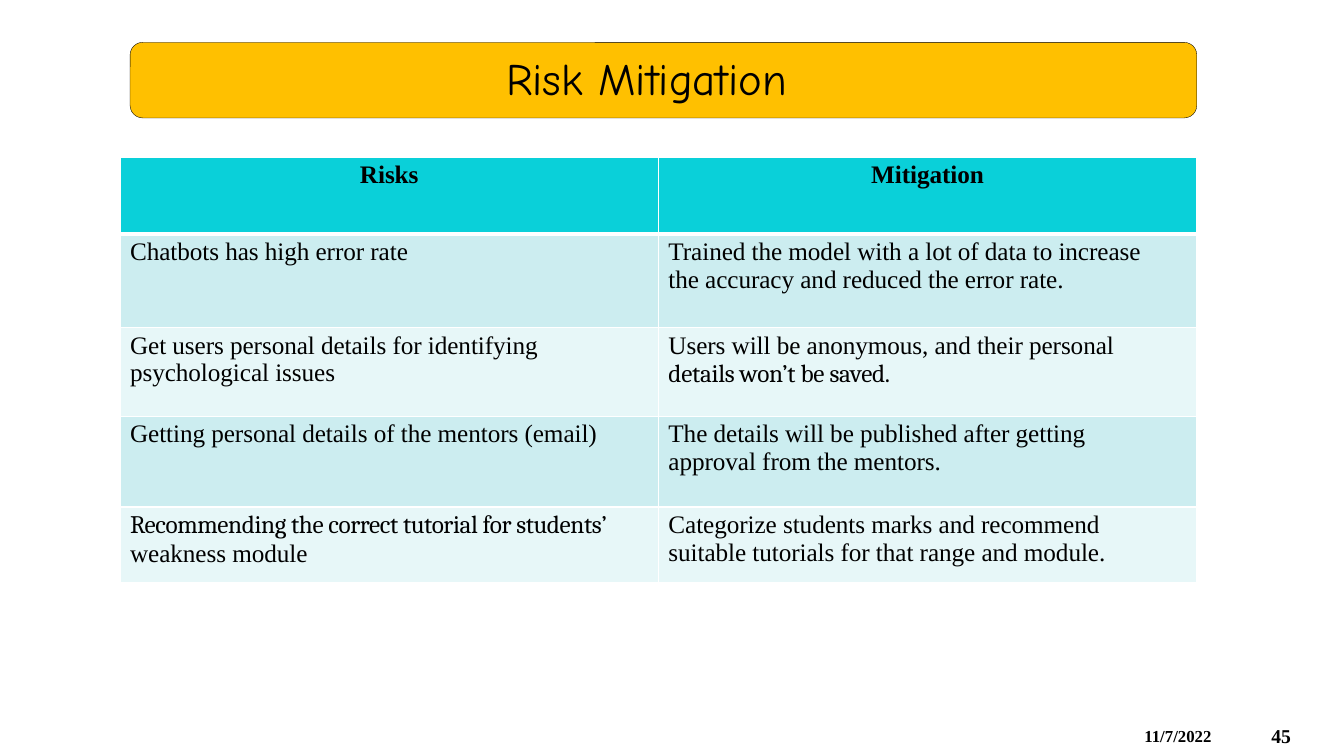
from lxml import etree
from pptx import Presentation
from pptx.dml.color import RGBColor
from pptx.enum.shapes import MSO_SHAPE
from pptx.enum.text import PP_ALIGN
from pptx.oxml.ns import qn
from pptx.util import Inches, Pt

COLORS = {
    "text": "000000",
    "banner": "FFC000",
    "header": "0AD0D9",
    "band_dark": "CCEDF0",
    "band_light": "E7F7F8",
    "border": "FFFFFF",
    "footer": "FFFFFF",
}
SERIF = "Times New Roman"


def add_line(paragraph, text, size, font=SERIF, bold=False, spacing=-5, before=0):
    paragraph.space_before = Pt(before)
    run = paragraph.add_run()
    run.text = text
    for name, value in {"name": font, "size": Pt(size), "bold": bold}.items():
        setattr(run.font, name, value)
    run.font.color.rgb = RGBColor.from_string(COLORS["text"])
    run.font._element.set("spc", str(spacing))


def add_border(cell, side, width):
    line = etree.SubElement(cell._tc.get_or_add_tcPr(), qn(f"a:ln{side}"), w=str(Pt(width)))
    fill = etree.SubElement(line, qn("a:solidFill"))
    etree.SubElement(fill, qn("a:srgbClr"), val=COLORS["border"])


presentation = Presentation()
presentation.slide_width = Inches(13.33)
presentation.slide_height = Inches(7.5)
slide = presentation.slides.add_slide(presentation.slide_layouts[6])

builder = slide.shapes.build_freeform(Inches(13.33), Inches(7.5), scale=1)
builder.add_line_segments(
    [(Inches(x), Inches(y)) for x, y in [(13.3, 7.5), (8.37, 7.09), (0.14, 7.49), (0, 7.5)]]
)
footer = builder.convert_to_shape()
footer.shadow.inherit = False
footer.line.fill.background()
footer.fill.solid()
footer.fill.fore_color.rgb = RGBColor.from_string(COLORS["footer"])
footer_color = footer._element.spPr.find(f"{qn('a:solidFill')}/{qn('a:srgbClr')}")
etree.SubElement(footer_color, qn("a:alpha"), val="20000")

banner = slide.shapes.add_shape(
    MSO_SHAPE.ROUNDED_RECTANGLE, Inches(1.29), Inches(0.42), Inches(10.58), Inches(0.75)
)
banner.shadow.inherit = False
banner.fill.solid()
banner.fill.fore_color.rgb = RGBColor.from_string(COLORS["banner"])
banner.line.color.rgb = RGBColor.from_string(COLORS["text"])
banner.line.width = Pt(0.25)

labels = [
    ("Risk Mitigation", 5.02, 0.5, 3.14, 0.56, 32, "Comic Neue", False, 1.1),
    ("45", 12.61, 7.18, 0.27, 0.26, 14, SERIF, True, 0.3),
    ("11/7/2022", 11.35, 7.2, 0.88, 0.22, 12, SERIF, True, 0.4),
]
for text, left, top, width, height, size, font, bold, before in labels:
    box = slide.shapes.add_textbox(Inches(left), Inches(top), Inches(width), Inches(height))
    frame = box.text_frame
    frame.word_wrap = True
    for side in ("left", "top", "right", "bottom"):
        setattr(frame, f"margin_{side}", 0)
    add_line(frame.paragraphs[0], text, size, font, bold, 0, before)

CAMBRIA_LINES = {"details won’t be saved.": -20, "Recommending the correct tutorial for students’": -27}
rows = [
    (0.76, ["Risks"], ["Mitigation"]),
    (0.93, ["Chatbots has high error rate"],
     ["Trained the model with a lot of data to increase",
      "the accuracy and reduced the error rate."]),
    (0.88, ["Get users personal details for identifying", "psychological issues"],
     ["Users will be anonymous, and their personal", "details won’t be saved."]),
    (0.9, ["Getting personal details of the mentors (email)"],
     ["The details will be published after getting", "approval from the mentors."]),
    (0.75, ["Recommending the correct tutorial for students’", "weakness module"],
     ["Categorize students marks and recommend",
      "suitable tutorials for that range and module."]),
]
table = slide.shapes.add_table(
    len(rows), 2, Inches(1.19), Inches(1.56), Inches(10.68), Inches(4.22)
).table
for column in table.columns:
    column.width = Inches(5.34)

for row_index, (height, *texts) in enumerate(rows):
    table.rows[row_index].height = Inches(height)
    is_header = row_index == 0
    band = "header" if is_header else ("band_light", "band_dark")[row_index % 2]
    for column_index, lines in enumerate(texts):
        cell = table.cell(row_index, column_index)
        margins = {
            "margin_left": 0 if is_header else Inches(0.1),
            "margin_top": Inches(0.04),
            "margin_right": 0,
            "margin_bottom": 0,
        }
        for name, value in margins.items():
            setattr(cell, name, value)
        for side in "LRTB":
            thick = (row_index, side) in ((0, "B"), (1, "T"))
            add_border(cell, side, 3 if thick else 1)
        cell.fill.solid()
        cell.fill.fore_color.rgb = RGBColor.from_string(COLORS[band])
        frame = cell.text_frame
        for line_index, text in enumerate(lines):
            paragraph = frame.add_paragraph() if line_index else frame.paragraphs[0]
            paragraph.alignment = PP_ALIGN.CENTER if is_header else PP_ALIGN.LEFT
            font = "Cambria" if text in CAMBRIA_LINES else SERIF
            add_line(paragraph, text, 18, font, is_header,
                     CAMBRIA_LINES.get(text, -5), 0 if line_index else 3.1)

presentation.save("out.pptx")
